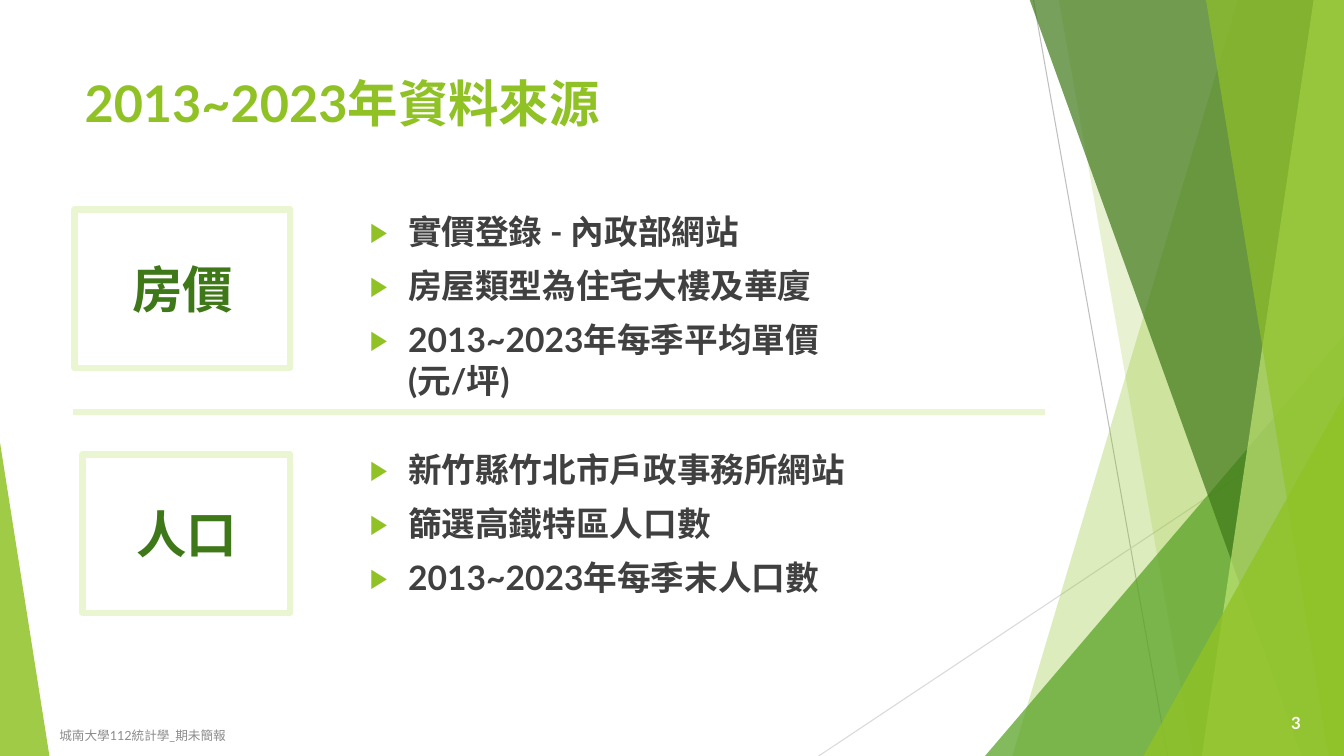
import pptx
import pptx.util
import pptx.dml.color
import pptx.enum.shapes
import pptx.enum.text
import pptx.oxml
import pptx.oxml.ns

RGB = pptx.dml.color.RGBColor
LIME = RGB(0x90, 0xC2, 0x26)
GREEN = RGB(0x54, 0xA0, 0x21)
DARK = RGB(0x3F, 0x78, 0x19)
LIGHT = RGB(0xC0, 0xE4, 0x74)
PALE = RGB(0xEA, 0xF6, 0xD1)
INK = RGB(0x40, 0x40, 0x40)
GRAY = RGB(0x8C, 0x8C, 0x8C)
WHITE = RGB(0xFF, 0xFF, 0xFF)
RULE = RGB(0xBF, 0xBF, 0xBF)
FAINT = RGB(0xD9, 0xD9, 0xD9)

PX = 9144
W, H = 1333, 750
KIND = pptx.enum.shapes.MSO_SHAPE
ALIGN = pptx.enum.text.PP_ALIGN
ANCHOR = pptx.enum.text.MSO_ANCHOR
NS = pptx.oxml.ns.nsdecls("a")

deck = pptx.Presentation()
deck.slide_width, deck.slide_height = W * PX, H * PX
slide = deck.slides.add_slide(deck.slide_layouts[6])
shapes = slide.shapes


def write(text, box, size, color, font="Lato", bold=True, align=ALIGN.LEFT,
          anchor=ANCHOR.TOP, bullet=False, edge=None):
    place = [n * PX for n in box]
    if edge is None:
        shape = shapes.add_textbox(*place)
    else:
        shape = shapes.add_shape(KIND.RECTANGLE, *place)
        shape.shadow.inherit = False
        shape.fill.background()
        shape.line.color.rgb = edge
        shape.line.width = pptx.util.Pt(4.5)
    frame = shape.text_frame
    frame.word_wrap = True
    frame.vertical_anchor = anchor
    for i, line in enumerate(text.split("\n")):
        para = frame.add_paragraph() if i else frame.paragraphs[0]
        para.alignment = align
        run = para.add_run()
        run.text = line
        run.font.name = font
        run.font.size = pptx.util.Pt(size)
        run.font.bold = bold
        run.font.color.rgb = color
        if bullet:
            para.space_before = pptx.util.Pt(10)
            props = para._p.get_or_add_pPr()
            props.set("marL", str(38 * PX))
            props.set("indent", str(-38 * PX))
            for part in (f'<a:buClr {NS}><a:srgbClr val="{LIME}"/></a:buClr>',
                         f'<a:buSzPct {NS} val="80000"/>',
                         f'<a:buFont {NS} typeface="Lato"/>',
                         f'<a:buChar {NS} char="▶"/>'):
                props.append(pptx.oxml.parse_xml(part))


def stroke(x1, y1, x2, y2, color, width):
    line = shapes.add_connector(pptx.enum.shapes.MSO_CONNECTOR.STRAIGHT,
                                x1 * PX, y1 * PX, x2 * PX, y2 * PX)
    line.line.color.rgb = color
    line.line.width = pptx.util.Pt(width)
    line._element.spPr.append(pptx.oxml.parse_xml(f"<a:effectLst {NS}/>"))


stroke(1025, 0, 1158, H, RULE, 0.75)
stroke(W, 403, 812, H, FAINT, 0.75)

bands = [
    ("free", (1228, 1004), LIME, 30),
    ("free", (1050, 1183), LIME, 20),
    ("tri", (977, 333, 356, 417, 1), GREEN, 72),
    ("free", (1021, 1291), DARK, 70),
    ("free", (1303, 1192), LIGHT, 70),
    ("free", (1196, 1318), LIME, 65),
    ("tri", (1134, 393, 199, 357, 1), LIME, 80),
    ("tri", (0, 439, 49, 311, 0), LIME, 85),
]
for kind, spot, color, alpha in bands:
    if kind == "free":
        top, foot = spot
        edge = shapes.build_freeform(top, -1, scale=PX)
        edge.add_line_segments([(W, -1), (W, H), (foot, H)], close=True)
        band = edge.convert_to_shape()
    else:
        band = shapes.add_shape(KIND.ISOSCELES_TRIANGLE, *[n * PX for n in spot[:4]])
        band.adjustments[0] = spot[4]
    band.shadow.inherit = False
    band.line.fill.background()
    band.fill.solid()
    band.fill.fore_color.rgb = color
    fade = pptx.oxml.parse_xml(f'<a:alpha {NS} val="{alpha * 1000}"/>')
    band._element.spPr.find(pptx.oxml.ns.qn("a:solidFill"))[0].append(fade)

write("2013~2023年資料來源", (74, 67, 940, 76), 36, LIME)
write("城南大學112統計學_期未簡報", (49, 710, 689, 40), 9, GRAY,
      bold=False, anchor=ANCHOR.MIDDLE)
write("3", (1225, 697, 75, 40), 12, WHITE, align=ALIGN.RIGHT, anchor=ANCHOR.MIDDLE)
stroke(1036, 409, 72, 409, PALE, 4.5)

topics = [
    ("房價", (74, 208, 214, 157), 204,
     "實價登錄 - 內政部網站\n房屋類型為住宅大樓及華廈\n2013~2023年每季平均單價(元/坪)"),
    ("人口", (82, 451, 206, 157), 440,
     "新竹縣竹北市戶政事務所網站\n篩選高鐵特區人口數\n2013~2023年每季末人口數"),
]
for name, box, top, facts in topics:
    write(name, box, 36, DARK, font="Times New Roman", align=ALIGN.CENTER,
          anchor=ANCHOR.MIDDLE, edge=PALE)
    write(facts, (357, top, 564, 179), 24, INK, bullet=True)

deck.save("out.pptx")
